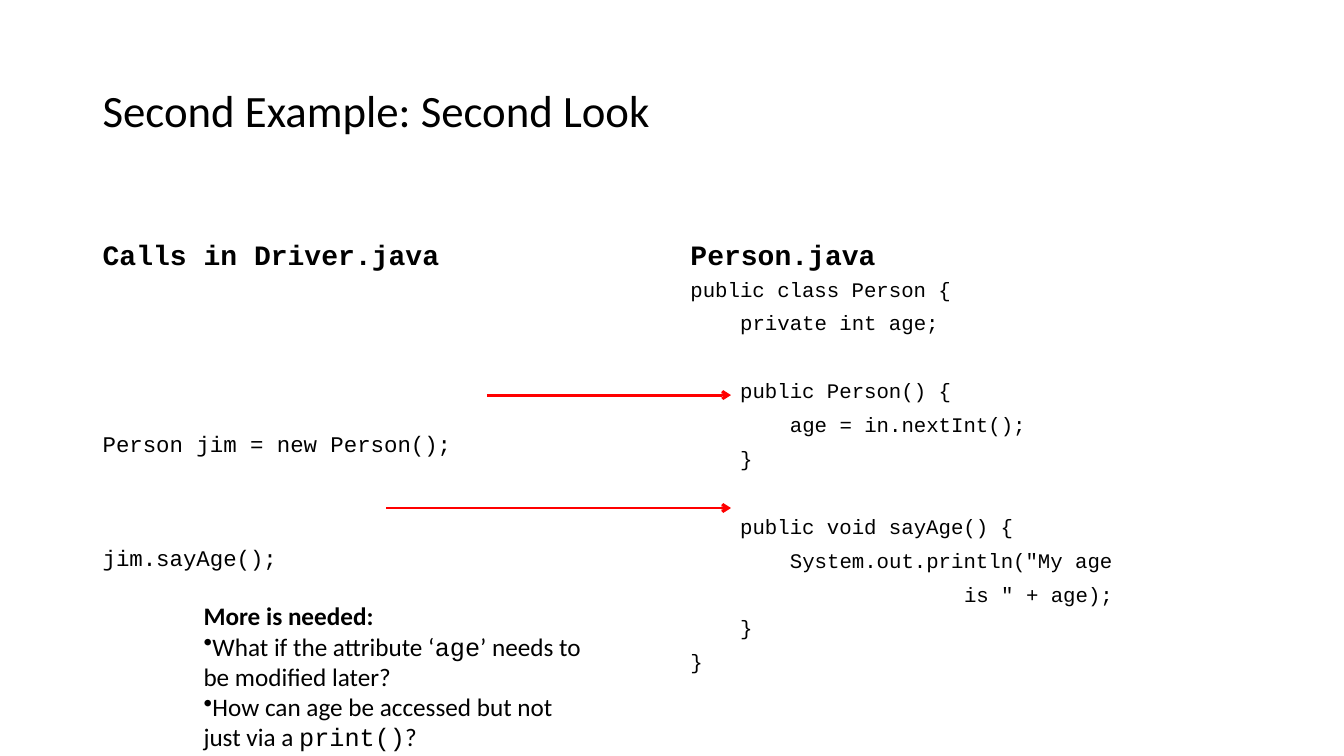
from pptx import Presentation
from pptx.util import Inches, Pt
from pptx.dml.color import RGBColor
from pptx.enum.shapes import MSO_CONNECTOR as Link
from pptx.enum.text import MSO_ANCHOR as Anchor
from pptx.oxml.ns import qn
from lxml.etree import SubElement as Sub


def color(text):
    return RGBColor.from_string(text)


def write(box, lines, face, size, bold=False, lead=1.0, gap=0, anchor=Anchor.TOP):
    left, top, width, height = map(Inches, box)
    frame = slide.shapes.add_textbox(left, top, width, height).text_frame
    frame.word_wrap = True
    frame.vertical_anchor = anchor
    for i, line in enumerate(lines):
        para = frame.paragraphs[0] if i == 0 else frame.add_paragraph()
        para.line_spacing = lead
        para.space_before = Pt(gap)
        font = para.font
        font.name, font.size, font.bold = face, Pt(size), bold
        font.color.rgb = color("000000")
        for j, part in enumerate(line.split("`")):
            run = para.add_run()
            run.text = part
            if j % 2:
                run.font.name = MONO
    return frame


SANS, MONO = "Calibri", "Courier New"
deck = Presentation()
deck.slide_width, deck.slide_height = Inches(13.33), Inches(7.5)
slide = deck.slides.add_slide(deck.slide_layouts[6])

write((0.92, 0.4, 11.5, 1.45), ["Second Example: Second Look"], SANS, 32,
      lead=0.9, anchor=Anchor.MIDDLE)

for left, width, head in [(0.92, 5.64, "Calls in Driver.java"),
                          (6.75, 5.67, "Person.java")]:
    write((left, 1.84, width, 0.9), [head], MONO, 20, True, 0.9, 10, Anchor.BOTTOM)

calls = write((0.92, 2.74, 5.64, 4.03), ["Person jim = new Person();", "jim.sayAge();"],
              MONO, 16, lead=0.9, gap=10)
calls.margin_top = Inches(1.56)
calls.paragraphs[1].space_before = Pt(64.2)

code = [
    (0, "public class Person {"),
    (4, "private int age;"),
    (4, "public Person() {"),
    (8, "age = in.nextInt();"),
    (4, "}"),
    (4, "public void sayAge() {"),
    (8, 'System.out.println("My age'),
    (22, 'is " + age);'),
    (4, "}"),
    (0, "}"),
]
body = write((6.75, 2.74, 5.67, 4.03), [text for _, text in code],
             MONO, 14.8, lead=0.8, gap=10)
for para, (depth, text) in zip(body.paragraphs, code):
    para._p.get_or_add_pPr().set("marL", str(Pt(depth * 14.8 * 0.6)))
    if text.startswith("public") and depth:
        para.space_before = Pt(34.2)

for start, y in [(4.83, 3.92), (3.83, 5.04)]:
    arrow = slide.shapes.add_connector(
        Link.STRAIGHT, Inches(start), Inches(y), Inches(7.25), Inches(y))
    arrow.line.color.rgb = color("FF0000")
    arrow.line.width = Pt(2)
    Sub(arrow.line._get_or_add_ln(), qn("a:tailEnd"), type="arrow")
    Sub(arrow._element.spPr, qn("a:effectLst"))

notes = write((1.92, 5.91, 4.08, 1.6), [
    "More is needed:",
    "What if the attribute ‘`age`’ needs to be modified later?",
    "How can age be accessed but not just via a `print()`?",
], SANS, 18)
notes.paragraphs[0].font.bold = True
for para in notes.paragraphs[1:]:
    props = para._p.get_or_add_pPr()
    mark = props.makeelement(qn("a:buChar"), {"char": "•"})
    props.find(qn("a:defRPr")).addprevious(mark)

deck.save("out.pptx")
